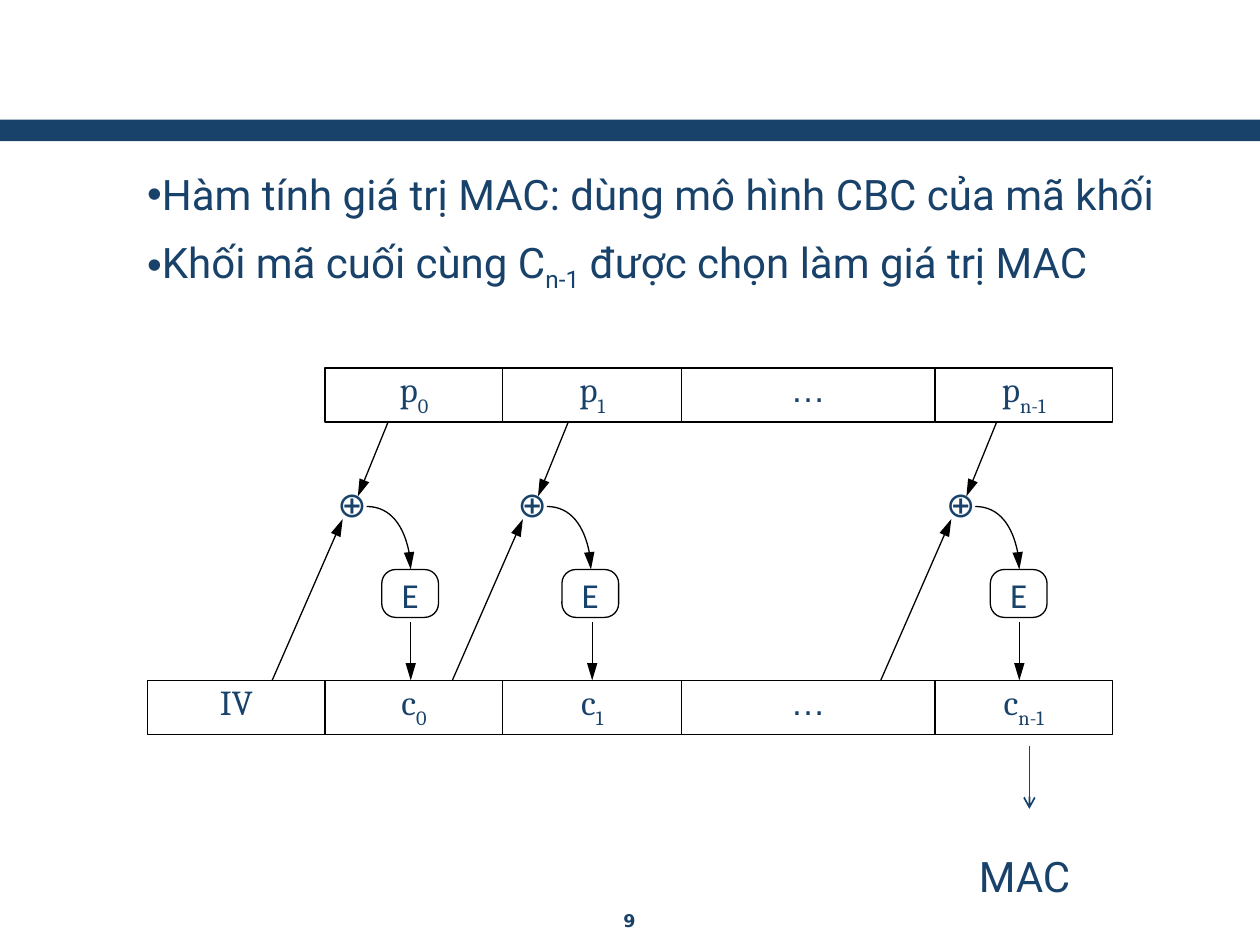
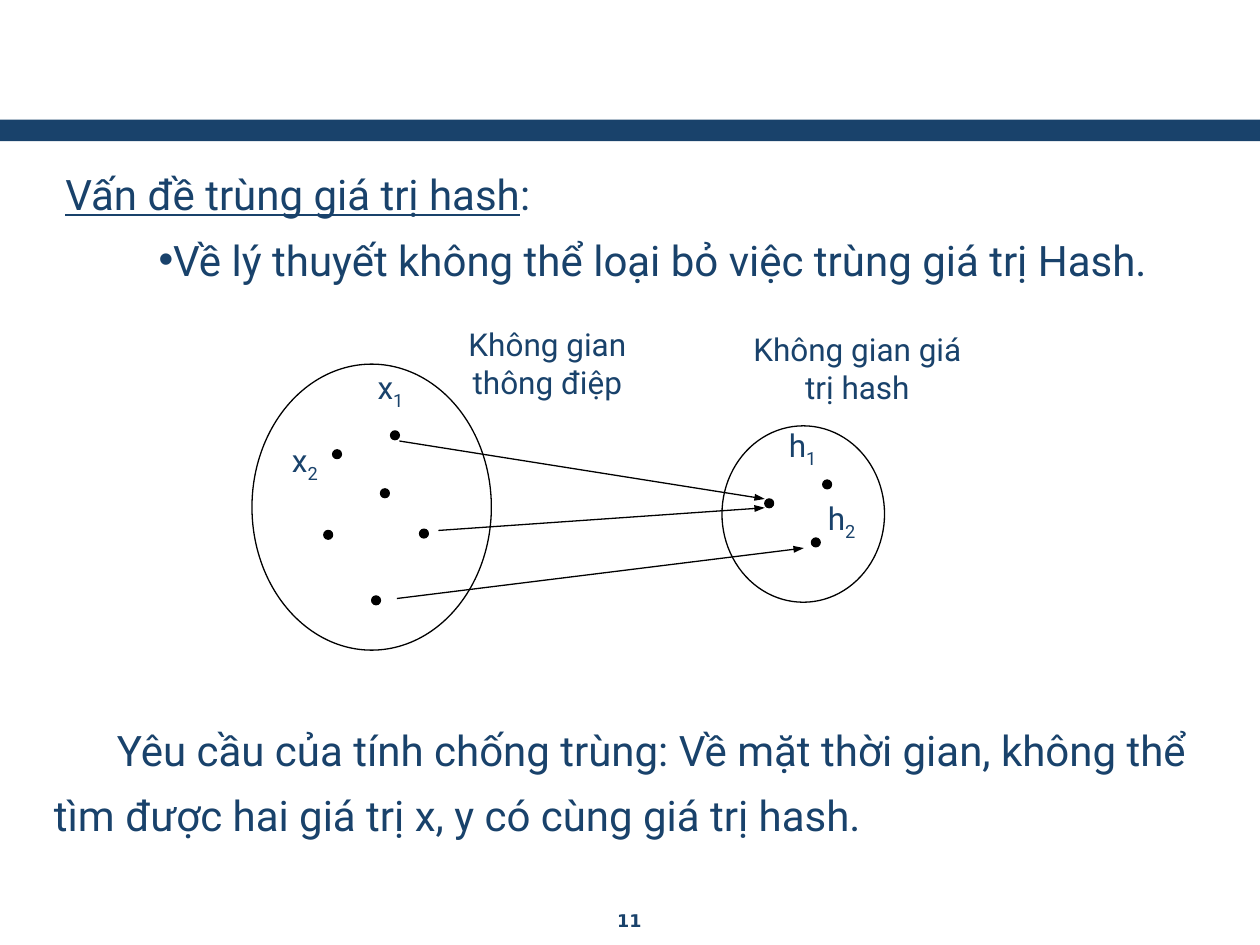
from dataclasses import dataclass
from itertools import pairwise
from typing import NamedTuple

from lxml import etree
from pptx import Presentation
from pptx.dml.color import RGBColor
from pptx.enum.shapes import MSO_CONNECTOR, MSO_SHAPE as Shape
from pptx.enum.text import MSO_ANCHOR, PP_ALIGN as Align
from pptx.oxml.ns import qn
from pptx.util import Emu, Inches, Pt

NAVY, BLACK, WHITE = "19426B", "000000", "FFFFFF"
BODY_FONT, CELL_FONT, DOTS_FONT, NODE_FONT, NUMBER_FONT = (
    "Roboto", "Cambria", "Arial", "Calibri", "DejaVu Sans")
FIRST_LINE_INDENT, BULLET_INDENT = 0.5, 0.74


class Box(NamedTuple):
    left: float
    top: float
    width: float
    height: float

    def emu(self) -> list[Emu]:
        return [Inches(length) for length in self]


class Span(NamedTuple):
    text: str
    baseline: int = 0
    underline: bool = False


class Para(NamedTuple):
    spans: list[Span]
    indent: float = 0
    bullet: bool = False


class Arrow(NamedTuple):
    start: tuple[float, float]
    end: tuple[float, float]


@dataclass(frozen=True)
class TextStyle:
    font: str
    size: int
    bold: bool = False
    align: Align | None = None
    line_spacing: float | None = None
    inset: bool = False


@dataclass(frozen=True)
class Head:
    kind: str = "triangle"
    width: str = "med"
    length: str = "med"


BODY = TextStyle(BODY_FONT, 24, line_spacing=1.3, inset=True)
NUMBER = TextStyle(NUMBER_FONT, 10, bold=True, align=Align.CENTER, inset=True)
CELL = TextStyle(CELL_FONT, 20, align=Align.CENTER)
DOTS = TextStyle(DOTS_FONT, 20, align=Align.CENTER)
NODE = TextStyle(NODE_FONT, 20, align=Align.CENTER)
LABEL = TextStyle(BODY_FONT, 18, align=Align.CENTER)

LONG_HEAD = Head(length="lg")
SLIM_HEAD = Head(width="sm")
OPEN_HEAD = Head(kind="arrow")


def color(value: str) -> RGBColor:
    return RGBColor.from_string(value)


def write(frame, paras: list[Para], style: TextStyle) -> None:
    frame.word_wrap = True
    frame.vertical_anchor = MSO_ANCHOR.TOP
    if not style.inset:
        frame.margin_left = frame.margin_right = 0
        frame.margin_top = frame.margin_bottom = 0
    for index, para in enumerate(paras):
        line = frame.add_paragraph() if index else frame.paragraphs[0]
        if para.indent:
            props = line._p.get_or_add_pPr()
            props.set("marL", "0")
            props.set("indent", str(Inches(para.indent)))
            if para.bullet:
                etree.SubElement(props, qn("a:buFont"), typeface="Arial")
                etree.SubElement(props, qn("a:buChar"), char="•")
        line.alignment = style.align
        line.line_spacing = style.line_spacing
        for span in para.spans:
            run = line.add_run()
            run.text = span.text
            font = run.font
            font.name, font.size, font.bold = style.font, Pt(style.size), style.bold
            font.color.rgb = color(NAVY)
            if span.underline:
                font.underline = True
            if span.baseline:
                run._r.get_or_add_rPr().set("baseline", str(span.baseline * 1000))


def bullet(*spans: Span) -> Para:
    return Para(list(spans), BULLET_INDENT, True)


def add_text(slide, box: Box, paras: list[Para], style: TextStyle) -> None:
    write(slide.shapes.add_textbox(*box.emu()).text_frame, paras, style)


def paint(shape, fill: str | None, line: str | None) -> None:
    shape.shadow.inherit = False
    if fill:
        shape.fill.solid()
        shape.fill.fore_color.rgb = color(fill)
    else:
        shape.fill.background()
    if line:
        shape.line.color.rgb = color(line)
        shape.line.width = Pt(0.75)
    else:
        shape.line.fill.background()


def add_shape(slide, kind: Shape, box: Box, fill: str | None = WHITE,
              line: str | None = BLACK, spans: list[Span] | None = None,
              style: TextStyle = CELL):
    shape = slide.shapes.add_shape(kind, *box.emu())
    paint(shape, fill, line)
    if kind == Shape.ROUNDED_RECTANGLE:
        shape.adjustments[0] = 0.29
    if spans:
        write(shape.text_frame, [Para(spans)], style)
    return shape


def add_head(shape, head: Head) -> None:
    etree.SubElement(shape.line._get_or_add_ln(), qn("a:tailEnd"),
                     type=head.kind, w=head.width, len=head.length)


def add_arrow(slide, arrow: Arrow, head: Head, line: str = BLACK, weight: float = 0.75):
    ends = [Inches(length) for point in arrow for length in point]
    connector = slide.shapes.add_connector(MSO_CONNECTOR.STRAIGHT, *ends)
    connector.line.color.rgb = color(line)
    connector.line.width = Pt(weight)
    add_head(connector, head)
    etree.SubElement(connector._element.spPr, qn("a:effectLst"))
    return connector


def add_quarter_arc(slide, arrow: Arrow) -> None:
    """Curve that leaves its start to the right and arrives from above."""
    (x1, y1), (x2, y2) = arrow
    builder = slide.shapes.build_freeform(Inches(x1), Inches(y1))
    builder.add_line_segments([(Inches(x2), Inches(y2))], close=False)
    arc = builder.convert_to_shape()
    paint(arc, None, BLACK)
    add_head(arc, LONG_HEAD)
    segment = next(arc._element.iter(qn("a:lnTo")))
    curve = etree.Element(qn("a:cubicBezTo"))
    for x, y in ((0.55, 0), (1, 0.45), (1, 1)):
        etree.SubElement(curve, qn("a:pt"), x=str(int(arc.width * x)),
                         y=str(int(arc.height * y)))
    segment.getparent().replace(segment, curve)


def start_slide(deck, number: int):
    slide = deck.slides.add_slide(deck.slide_layouts[6])
    add_shape(slide, Shape.RECTANGLE, Box(0, 0.95, 10, 0.17), NAVY, None)
    add_text(slide, Box(3.83, 7.17, 2.33, 0.26), [Para([Span(str(number))])], NUMBER)
    return slide


def indexed(letter: str, index: str, baseline: int) -> list[Span]:
    return [Span(letter), Span(index, baseline)]


BLOCK_EDGES = (2.58, 3.99, 5.41, 7.42, 8.83)
BLOCK_INDEXES = ("0", "1", None, "n-1")
PLAIN_TOP, CIPHER_TOP, BLOCK_HEIGHT = 2.92, 5.4, 0.43
STAGE_CENTERS = {"0": 3.26, "1": 4.69, "n-1": 8.09}


def add_block_row(slide, letter: str, top: float) -> dict:
    blocks = {}
    for (left, right), index in zip(pairwise(BLOCK_EDGES), BLOCK_INDEXES):
        spans = indexed(letter, index, -30) if index else [Span("…")]
        blocks[index] = add_shape(
            slide, Shape.RECTANGLE, Box(left, top, right - left, BLOCK_HEIGHT),
            spans=spans, style=CELL if index else DOTS)
    return blocks


def add_cbc_stage(slide, center: float, cipher_block) -> None:
    """XOR and encryption step, placed around the centre of its E node."""
    plain_bottom = PLAIN_TOP + BLOCK_HEIGHT
    add_arrow(slide, Arrow((center - 0.18, plain_bottom), (center - 0.42, 3.94)), LONG_HEAD)
    output = add_arrow(slide, Arrow((center, 4.94), (center, CIPHER_TOP)), LONG_HEAD)
    block_center = cipher_block.left + cipher_block.width / 2
    if abs(block_center - Inches(center)) < Inches(0.02):
        output.end_connect(cipher_block, 0)
        output.begin_x = output.end_x
    add_shape(slide, Shape.ROUNDED_RECTANGLE, Box(center - 0.23, 4.52, 0.45, 0.38),
              spans=[Span("E")], style=NODE)
    add_shape(slide, Shape.ROUNDED_RECTANGLE, Box(center - 0.69, 3.79, 0.45, 0.48),
              None, None, [Span("⊕")], NODE)
    add_arrow(slide, Arrow((center - 1.1, CIPHER_TOP), (center - 0.54, 4.12)), LONG_HEAD)
    add_quarter_arc(slide, Arrow((center - 0.35, 4.02), (center, 4.52)))


def build_mac_slide(deck) -> None:
    slide = start_slide(deck, 9)
    add_text(slide, Box(0.33, 1.17, 9.25, 1.25), [
        bullet(Span("Hàm tính giá trị MAC: dùng mô hình CBC của mã khối")),
        bullet(Span("Khối mã cuối cùng C"), Span("n-1", -25),
               Span(" được chọn làm giá trị MAC")),
    ], BODY)
    add_block_row(slide, "p", PLAIN_TOP)
    cipher_blocks = add_block_row(slide, "c", CIPHER_TOP)
    add_shape(slide, Shape.RECTANGLE, Box(1.17, CIPHER_TOP, 1.41, BLOCK_HEIGHT),
              spans=[Span("IV")])
    for index, center in STAGE_CENTERS.items():
        add_cbc_stage(slide, center, cipher_blocks[index])
    add_text(slide, Box(7.17, 6.58, 1.67, 0.58),
             [Para([Span("MAC")], FIRST_LINE_INDENT)], BODY)
    add_arrow(slide, Arrow((8.17, 5.92), (8.17, 6.42)), OPEN_HEAD, NAVY, 1)


DOT_SIZE = 0.07
MESSAGE_DOTS = ((2.64, 3.57), (3.02, 3.88), (2.57, 4.21),
                (3.33, 4.2), (2.95, 4.73), (3.1, 3.42))
HASH_DOTS = ((6.07, 3.96), (6.44, 4.27), (6.53, 3.81))
POINT_LABELS = (("x", "1", 2.8, 2.92), ("x", "2", 2.12, 3.5),
                ("h", "1", 6.07, 3.38), ("h", "2", 6.38, 3.96))
SPACE_LABELS = (("Không gian thông điệp", 3.48, 2.58),
                ("Không gian giá trị hash", 5.94, 2.62))
HASH_ARROWS = (Arrow((3.17, 3.5), (6.07, 3.96)),
               Arrow((3.48, 4.21), (6.07, 4.03)),
               Arrow((3.15, 4.75), (6.38, 4.35)))


def build_collision_slide(deck) -> None:
    slide = start_slide(deck, 11)
    add_text(slide, Box(0.42, 1.17, 9.33, 1.33), [
        Para([Span("Vấn đề trùng giá trị hash", underline=True), Span(":")]),
        bullet(Span("Về lý thuyết không thể loại bỏ việc trùng giá trị Hash.")),
    ], BODY)
    add_shape(slide, Shape.OVAL, Box(2, 2.89, 1.9, 2.27), None)
    add_shape(slide, Shape.OVAL, Box(5.73, 3.38, 1.29, 1.4))
    for left, top in MESSAGE_DOTS + HASH_DOTS:
        add_shape(slide, Shape.OVAL, Box(left, top, DOT_SIZE, DOT_SIZE), BLACK)
    for letter, index, left, top in POINT_LABELS:
        add_text(slide, Box(left, top, 0.6, 0.46), [Para(indexed(letter, index, -25))], LABEL)
    for arrow in HASH_ARROWS:
        add_arrow(slide, arrow, SLIM_HEAD)
    for name, left, top in SPACE_LABELS:
        add_text(slide, Box(left, top, 1.73, 0.8), [Para([Span(name)])], LABEL)
    add_text(slide, Box(0.33, 5.58, 9.33, 1.17), [
        Para([Span("Yêu cầu của tính chống trùng: Về mặt thời gian, không thể "
                   "tìm được hai giá trị x, y có cùng giá trị hash.")], FIRST_LINE_INDENT),
    ], BODY)


def main() -> None:
    deck = Presentation()
    deck.slide_width, deck.slide_height = Inches(10), Inches(7.5)
    build_mac_slide(deck)
    build_collision_slide(deck)
    deck.save("out.pptx")


if __name__ == "__main__":
    main()
